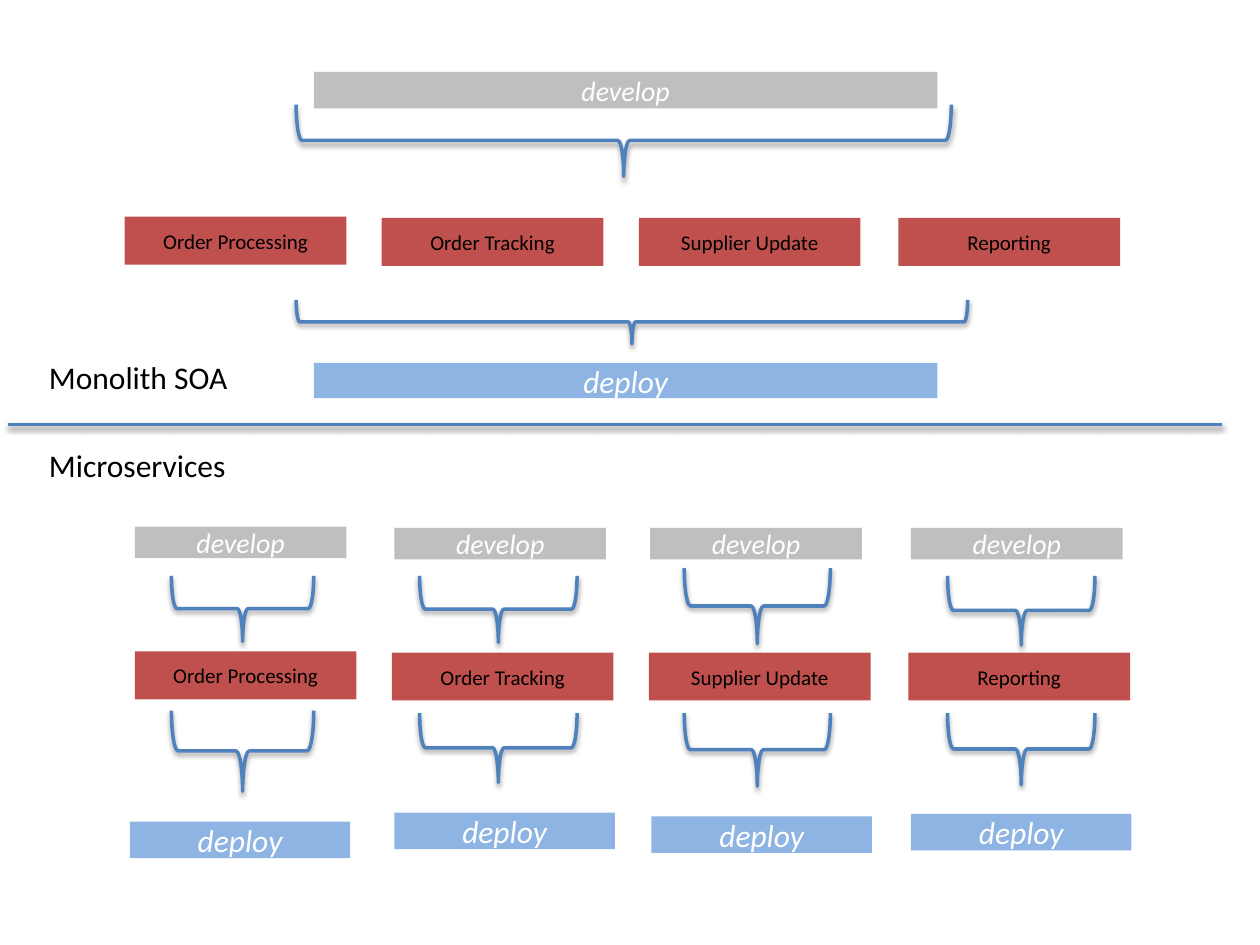
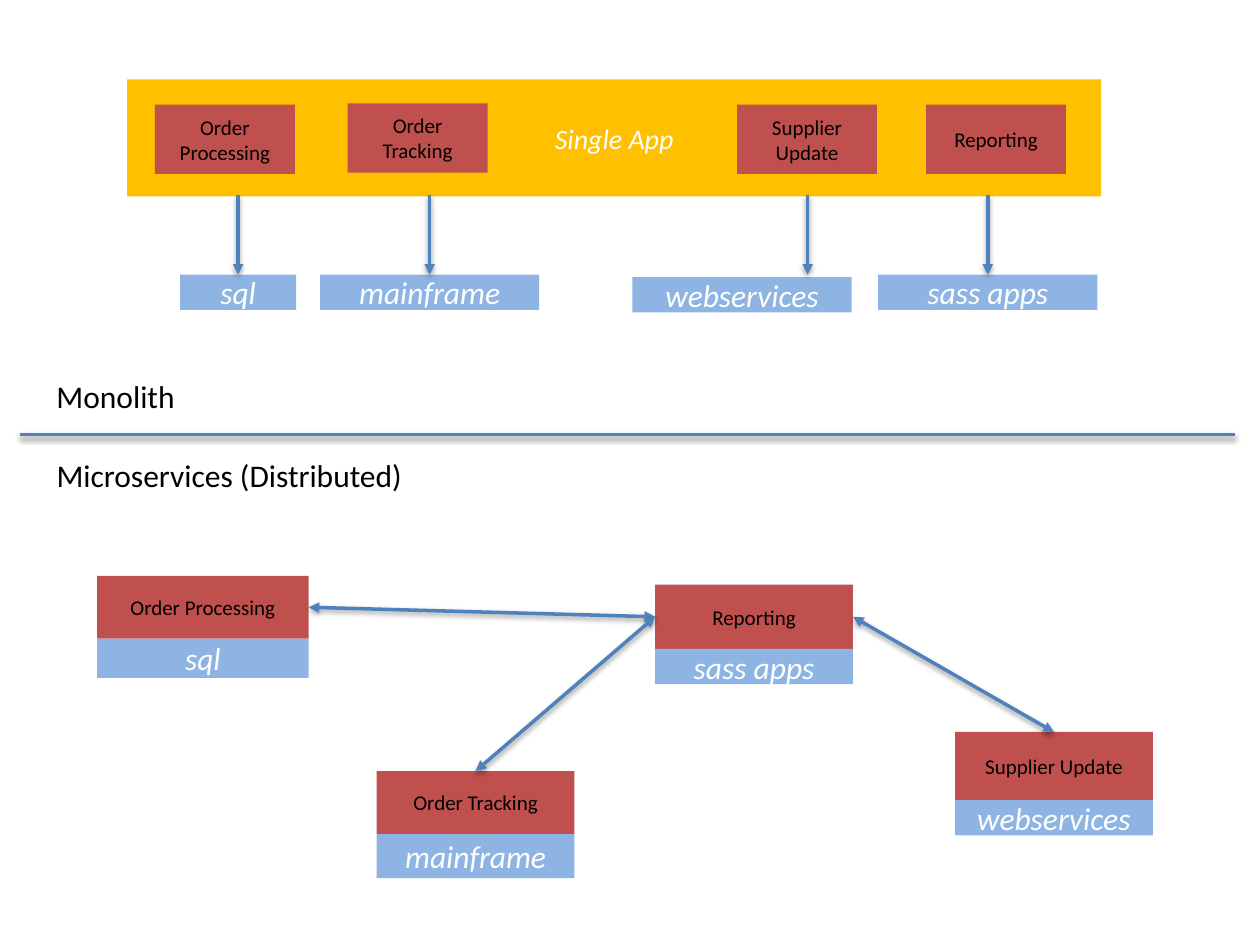
from lxml.etree import SubElement
from pptx import Presentation
from pptx.dml.color import RGBColor
from pptx.enum.shapes import MSO_CONNECTOR, MSO_SHAPE
from pptx.enum.text import MSO_ANCHOR, PP_ALIGN
from pptx.oxml.ns import qn
from pptx.util import Inches, Pt

FONT = "Calibri"
BLACK, WHITE, LINE = "000000", "FFFFFF", "4F81BD"
SERVICE = dict(fill="C0504D", size=12, color=BLACK)
BACKEND = dict(fill="8EB4E3", size=18, color=WHITE, italic=True)
DEVELOP = dict(fill="BFBFBF", size=16, color=WHITE, italic=True)
APP = dict(DEVELOP, fill="FFC000")
NAMES = ["Order Processing", "Order Tracking", "Supplier Update", "Reporting"]
COLUMNS = [0, 2.04, 4.08, 6.14]


def rgb(value):
    """Turn a hex string into a colour."""
    return RGBColor.from_string(value)


def add_run(tf, text, size, color, italic=False):
    """Write one formatted run into the first paragraph and return the paragraph."""
    p = tf.paragraphs[0]
    r = p.add_run()
    r.text = text
    r.font.name, r.font.size, r.font.italic = FONT, Pt(size), italic
    r.font.color.rgb = rgb(color)
    return p


def add_box(s, x, y, w, h, text, fill, **style):
    """Draw a filled rectangle with centred text."""
    sp = s.shapes.add_shape(MSO_SHAPE.RECTANGLE, *map(Inches, (x, y, w, h)))
    sp.shadow.inherit = False
    sp.fill.solid()
    sp.fill.fore_color.rgb = rgb(fill)
    sp.line.fill.background()
    sp.text_frame.vertical_anchor = MSO_ANCHOR.MIDDLE
    add_run(sp.text_frame, text, **style).alignment = PP_ALIGN.CENTER
    return sp


def style_line(sp):
    """Give a line or brace its blue stroke and soft shadow below."""
    sp.line.color.rgb = rgb(LINE)
    sp.line.width = Pt(2)
    effects = SubElement(sp._element.spPr, qn("a:effectLst"))
    shadow = SubElement(effects, qn("a:outerShdw"), blurRad=str(Pt(3.1)),
                        dist=str(Pt(1.6)), dir="5400000", rotWithShape="0")
    color = SubElement(shadow, qn("a:srgbClr"), val=BLACK)
    SubElement(color, qn("a:alpha"), val="38000")


def add_brace(s, x, y, w, h):
    """Draw a brace pointing down that fills the given box."""
    left, top = x + (w - h) / 2, y + (h - w) / 2
    sp = s.shapes.add_shape(MSO_SHAPE.RIGHT_BRACE, *map(Inches, (left, top, h, w)))
    sp.rotation = 90
    sp.fill.background()
    style_line(sp)


def add_line(s, x1=0, y1=0, x2=0, y2=0, start=None, end=None, heads=()):
    """Draw a line between points, or between (shape, site) joints."""
    c = s.shapes.add_connector(MSO_CONNECTOR.STRAIGHT, *map(Inches, (x1, y1, x2, y2)))
    if start:
        c.begin_connect(*start)
    if end:
        c.end_connect(*end)
    style_line(c)
    for head in heads:
        SubElement(c.line._get_or_add_ln(), qn(f"a:{head}"), type="triangle")


def add_label(s, x, y, w, text):
    """Write a section heading."""
    tf = s.shapes.add_textbox(*map(Inches, (x, y, w, 0.4))).text_frame
    tf.word_wrap = True
    add_run(tf, text, 18, BLACK)


def add_divider(s, x, y, above, below, label_x, above_y, below_y):
    """Split the slide in two and name both halves."""
    add_line(s, x, y, x + 9.64, y)
    add_label(s, label_x, above_y, 1.96, above)
    add_label(s, label_x, below_y, 3.68, below)


def shared_cycle(s, x, y):
    """Show four services developed and deployed together."""
    for name, dx, dy in zip(NAMES, COLUMNS, (0, 0.01, 0.01, 0.01)):
        add_box(s, x + dx, y + 1.15 + dy, 1.76, 0.38, name, **SERVICE)
    add_brace(s, x + 1.36, y + 1.81, 5.33, 0.35)
    add_brace(s, x + 1.36, y + 0.26, 5.2, 0.57)
    add_box(s, x + 1.5, y + 2.31, 4.95, 0.28, "deploy", **BACKEND)
    add_box(s, x + 1.5, y, 4.95, 0.29, "develop", **DEVELOP)


def own_cycle(s, x, y, name, develop, deploy, brace_x, brace_w, upper, lower):
    """Show one service with its own develop and deploy steps."""
    add_box(s, x, y + 0.99, 1.76, 0.38, name, **SERVICE)
    add_box(s, x + develop, y, 1.68, 0.25, "develop", **DEVELOP)
    add_box(s, x + deploy[0], y + deploy[1], 1.75, 0.29, "deploy", **BACKEND)
    for dy, h in (upper, lower):
        add_brace(s, x + brace_x, y + dy, brace_w, h)


def single_app(s, x, y):
    """Show one application holding all services above its back ends."""
    add_box(s, x, y, 7.73, 0.93, "Single App", **APP)
    for name, dx, dy in zip(NAMES, (0.22, 1.75, 4.84, 6.34), (0.2, 0.19, 0.2, 0.2)):
        add_box(s, x + dx, y + dy, 1.11, 0.55, name, **SERVICE)
    backends = [("sql", 0.42, 1.55, 0.92, None), ("mainframe", 1.53, 1.55, 1.74, None),
                ("webservices", 4.01, 1.57, 1.74, 5.4), ("sass apps", 5.96, 1.55, 1.74, None)]
    for text, dx, dy, w, arrow in backends:
        sp = add_box(s, x + dx, y + dy, w, 0.28, text, **BACKEND)
        ax = x + (arrow or dx + w / 2)
        add_line(s, ax, y + 0.92, ax, y + 1.55,
                 end=None if arrow else (sp, 0), heads=["tailEnd"])


def service_node(s, x, y, w, h, name, backend, backend_h):
    """Stack a service on its back end and return the service box."""
    sp = add_box(s, x, y, w, h, name, **SERVICE)
    add_box(s, x, y + h, w, backend_h, backend, **BACKEND)
    return sp


def distributed_services(s, x, y):
    """Show separate services that talk to reporting."""
    processing = service_node(s, x, y, 1.68, 0.5, NAMES[0], "sql", 0.31)
    tracking = service_node(s, x + 2.22, y + 1.55, 1.57, 0.5, NAMES[1], "mainframe", 0.35)
    supplier = service_node(s, x + 6.81, y + 1.24, 1.57, 0.54, NAMES[2], "webservices", 0.28)
    reporting = service_node(s, x + 4.43, y + 0.07, 1.57, 0.51, NAMES[3], "sass apps", 0.28)
    links = [((processing, 3), (reporting, 1)),
             ((reporting, 1), (tracking, 0)),
             ((reporting, 3), (supplier, 0))]
    for start, end in links:
        add_line(s, start=start, end=end, heads=["headEnd", "tailEnd"])


def delivery_slide(s):
    """Compare the delivery of a monolith and of microservices."""
    shared_cycle(s, 0.99, 0.57)
    cycles = [(0, (-0.04, 2.34), 0.29, 1.13, (0.39, 0.52), (1.46, 0.64)),
              (0.02, (0.02, 2.26), 0.22, 1.25, (0.38, 0.53), (1.47, 0.55)),
              (0.01, (0.02, 2.29), 0.28, 1.16, (0.32, 0.6), (1.47, 0.58)),
              (0.02, (0.02, 2.27), 0.31, 1.17, (0.38, 0.55), (1.47, 0.57))]
    for name, dx, dy, cycle in zip(NAMES, COLUMNS, (0, 0.01, 0.01, 0.01), cycles):
        own_cycle(s, 1.07, 4.18 + dy, name, *cycle) if not dx else \
            own_cycle(s, 1.07 + dx, 4.18 + dy, name, *cycle)
    add_divider(s, 0.06, 3.37, "Monolith SOA", "Microservices", 0.29, 2.79, 3.49)


def structure_slide(s):
    """Compare the structure of a monolith and of microservices."""
    single_app(s, 1.01, 0.63)
    distributed_services(s, 0.77, 4.57)
    add_divider(s, 0.16, 3.45, "Monolith", "Microservices (Distributed)", 0.35, 2.94, 3.57)


def main():
    """Build and save the presentation."""
    prs = Presentation()
    prs.slide_width, prs.slide_height = Inches(10), Inches(7.5)
    for build in (delivery_slide, structure_slide):
        build(prs.slides.add_slide(prs.slide_layouts[6]))
    prs.save("out.pptx")


if __name__ == "__main__":
    main()
